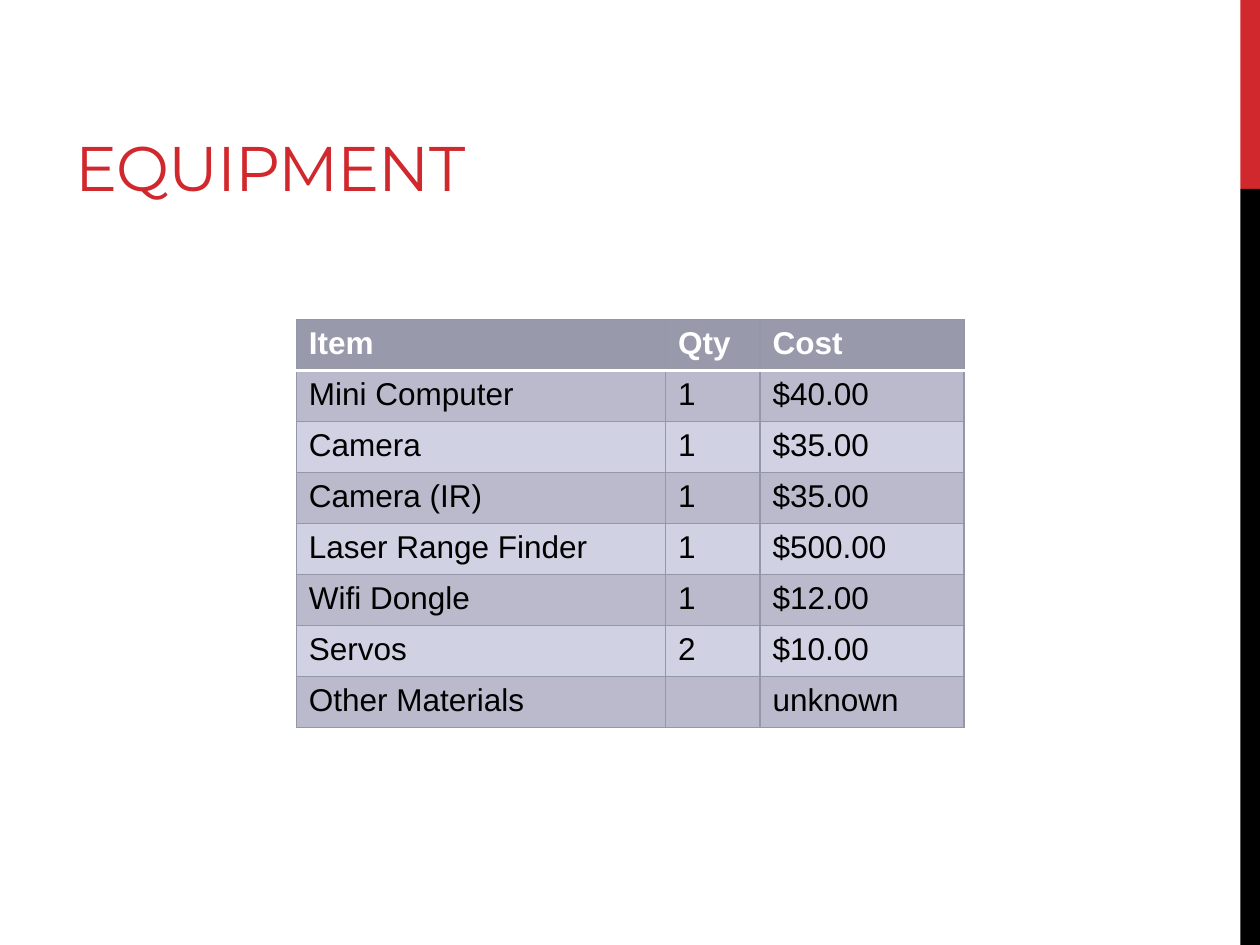
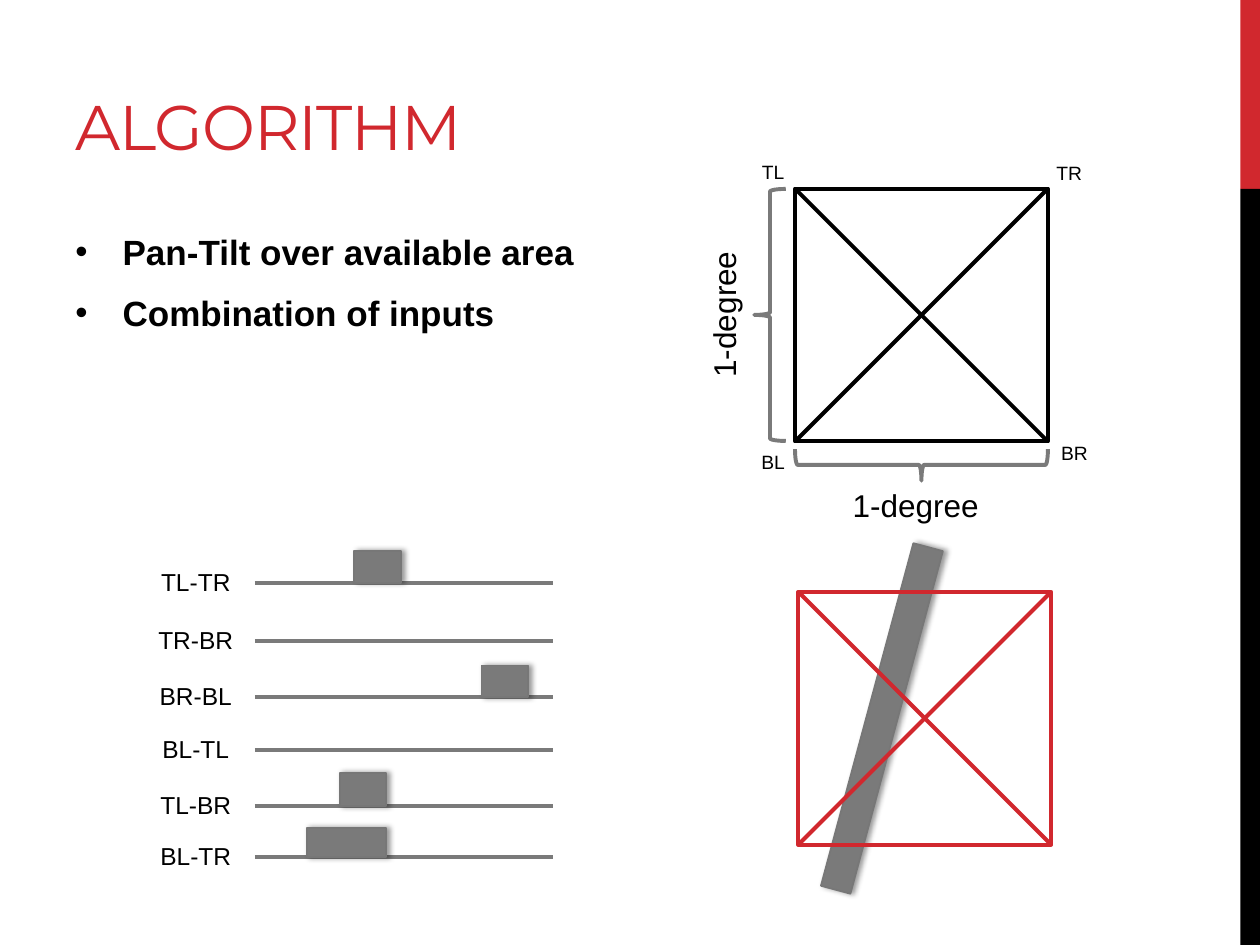
from typing import NamedTuple, Optional

from lxml import etree
from pptx import Presentation
from pptx import util as u
from pptx.dml.color import RGBColor
from pptx.enum import shapes, text
from pptx.oxml import ns

Pt = u.Pt
RED = RGBColor(0xD1, 0x28, 0x2E)
BLACK = RGBColor(0, 0, 0)
WHITE = RGBColor(255, 255, 255)
GREY = RGBColor(0x7A, 0x7A, 0x7A)
EDGE = RGBColor(0x77, 0x77, 0x77)
HEAD = RGBColor(0x98, 0x9A, 0xAC)
DARK = RGBColor(0xBA, 0xBA, 0xCC)
LIGHT = RGBColor(0xD0, 0xD2, 0xE3)
GRID = RGBColor(0x94, 0x96, 0xA9)

RECT = shapes.MSO_SHAPE.RECTANGLE
BRACE = shapes.MSO_SHAPE.LEFT_BRACE
SIDE = 144.5
THICK = 2.25


class Box(NamedTuple):
    left: float
    top: float
    width: float
    height: float

    def lengths(self) -> list:
        return [Pt(v) for v in self]


class Block(NamedTuple):
    left: float
    width: float
    height: float


class Track(NamedTuple):
    name: str
    y: float
    block: Optional[Block] = None


class Label(NamedTuple):
    words: str
    box: Box
    size: float
    turn: float = 0


ITEMS = [
    ("Item", "Qty", "Cost"),
    ("Mini Computer", "1", "$40.00"),
    ("Camera", "1", "$35.00"),
    ("Camera (IR)", "1", "$35.00"),
    ("Laser Range Finder", "1", "$500.00"),
    ("Wifi Dongle", "1", "$12.00"),
    ("Servos", "2", "$10.00"),
    ("Other Materials", "", "unknown"),
]
WIDTHS = [211, 54, 116.6]
ROW = 29.15

TRACKS = [
    Track("TL-TR", 333, Block(202.5, 26.6, 18)),
    Track("TR-BR", 366.3),
    Track("BR-BL", 398.3, Block(275.2, 26.6, 18)),
    Track("BL-TL", 428.6),
    Track("TL-BR", 460.6, Block(194.2, 26.6, 19)),
    Track("BL-TR", 489.8, Block(175.4, 45.4, 16.8)),
]

LABELS = [
    Label("1-degree", Box(366, 165.3, 95, 28.8), 18, 270),
    Label("1-degree", Box(475.8, 274.3, 95, 28.8), 18),
    Label("TL", Box(423.8, 87.8, 36, 20.9), 11),
    Label("TR", Box(593, 88.4, 36, 20.9), 11),
    Label("BR", Box(596, 248.4, 36, 20.9), 11),
    Label("BL", Box(423.8, 254, 36, 20.9), 11),
]


def add_run(para, words: str, size: float, ink=BLACK, font="Arial", bold=False):
    run = para.add_run()
    run.text = words
    run.font.name = font
    run.font.size = Pt(size)
    run.font.bold = bold
    run.font.color.rgb = ink
    return run


def add_form(slide, kind, box: Box, fill=None, line=None, weight=THICK, turn=0.0):
    form = slide.shapes.add_shape(kind, *box.lengths())
    form.shadow.inherit = False
    form.rotation = turn
    if fill is None:
        form.fill.background()
    else:
        form.fill.solid()
        form.fill.fore_color.rgb = fill
    if line is None:
        form.line.fill.background()
    else:
        form.line.color.rgb = line
        form.line.width = Pt(weight)
    return form


def add_line(slide, x1: float, y1: float, x2: float, y2: float, ink) -> None:
    line = slide.shapes.add_connector(
        shapes.MSO_CONNECTOR.STRAIGHT, Pt(x1), Pt(y1), Pt(x2), Pt(y2))
    line.line.color.rgb = ink
    line.line.width = Pt(THICK)
    etree.SubElement(line._element.spPr, ns.qn("a:effectLst"))


def add_bar(slide, box: Box, turn=0.0) -> None:
    """Grey block with a soft shadow to its right."""
    bar = add_form(slide, RECT, box, GREY, EDGE, 1, turn)
    cast = etree.SubElement(
        bar._element.spPr.find(ns.qn("a:effectLst")), ns.qn("a:outerShdw"),
        blurRad=str(Pt(3.1)), dist=str(Pt(1.8)), dir="0", rotWithShape="0")
    ink = etree.SubElement(cast, ns.qn("a:srgbClr"), val=str(BLACK))
    etree.SubElement(ink, ns.qn("a:alpha"), val="40000")


def add_label(slide, label: Label) -> None:
    form = slide.shapes.add_textbox(*label.box.lengths())
    form.rotation = label.turn
    form.text_frame.word_wrap = False
    para = form.text_frame.paragraphs[0]
    para.alignment = text.PP_ALIGN.CENTER
    add_run(para, label.words, label.size)


def add_square(slide, left: float, top: float, ink, fill=None) -> None:
    """Square with both of its diagonals."""
    add_form(slide, RECT, Box(left, top, SIDE, SIDE), fill, ink)
    right, base = left + SIDE, top + SIDE
    add_line(slide, right, top, left, base, ink)
    add_line(slide, right, base, left, top, ink)


def add_page(deck, title: str, top: float):
    """Blank slide with the side band and a title."""
    slide = deck.slides.add_slide(deck.slide_layouts[6])
    add_form(slide, RECT, Box(708.75, 0, 11.25, 108), RED)
    add_form(slide, RECT, Box(708.75, 108, 11.25, 432), BLACK)
    frame = slide.shapes.add_textbox(*Box(36, top, 456, 108).lengths()).text_frame
    frame.word_wrap = True
    frame.vertical_anchor = text.MSO_ANCHOR.BOTTOM
    run = add_run(frame.paragraphs[0], title, 36, RED, "Montserrat")
    run._r.get_or_add_rPr().set("spc", "-60")
    return slide


def set_edge(cell, side: str, ink, weight: float) -> None:
    edge = etree.Element(ns.qn(f"a:{side}"), w=str(Pt(weight)))
    fill = etree.SubElement(edge, ns.qn("a:solidFill"))
    etree.SubElement(fill, ns.qn("a:srgbClr"), val=str(ink))
    cell._tc.get_or_add_tcPr().append(edge)


def fill_cell(cell, words: str, row: int) -> None:
    first = row == 0
    for side in ("lnL", "lnR", "lnT", "lnB"):
        rule = (first and side == "lnB") or (row == 1 and side == "lnT")
        set_edge(cell, side, WHITE if rule else GRID, THICK if rule else 1)
    cell.fill.solid()
    cell.fill.fore_color.rgb = HEAD if first else DARK if row % 2 else LIGHT
    para = cell.text_frame.paragraphs[0]
    para.font.size = Pt(18)
    if words:
        add_run(para, words, 18, WHITE if first else BLACK, bold=first)


def add_costs(slide) -> None:
    box = Box(169.3, 182.6, sum(WIDTHS), ROW * len(ITEMS))
    table = slide.shapes.add_table(len(ITEMS), len(WIDTHS), *box.lengths()).table
    table.first_row = table.horz_banding = False
    for col, width in zip(table.columns, WIDTHS):
        col.width = Pt(width)
    for r, item in enumerate(ITEMS):
        table.rows[r].height = Pt(ROW)
        for c, words in enumerate(item):
            fill_cell(table.cell(r, c), words, r)


def add_points(slide, points: list[str]) -> None:
    frame = slide.shapes.add_textbox(*Box(36, 128.2, 338.4, 344.2).lengths()).text_frame
    frame.word_wrap = True
    for i, point in enumerate(points):
        para = frame.paragraphs[0] if i == 0 else frame.add_paragraph()
        para.space_before = Pt(4.6 if i else 0)
        para.space_after = Pt(6)
        props = para._p.get_or_add_pPr()
        props.set("marL", str(Pt(27)))
        props.set("indent", str(-Pt(27)))
        etree.SubElement(props, ns.qn("a:buFont"), typeface="Arial")
        etree.SubElement(props, ns.qn("a:buChar"), char="•")
        add_run(para, point, 20, bold=True)


def add_track(slide, track: Track) -> None:
    add_line(slide, 145.6, track.y, 316, track.y, GREY)
    if track.block:
        left, width, height = track.block
        add_bar(slide, Box(left, track.y - height, width, height))
    add_label(slide, Label(track.name, Box(79.4, track.y - 12.8, 65, 24.5), 14))


def main() -> None:
    deck = Presentation()
    deck.slide_width, deck.slide_height = Pt(720), Pt(540)

    # Equipment
    add_costs(add_page(deck, "EQUIPMENT", 12.2))

    # Algorithm: bar seen by the scan
    slide = add_page(deck, "ALGORITHM", -11.5)
    add_bar(slide, Box(495.2, 309.2, 17.5, 202.8), 15.1)
    add_square(slide, 456.2, 338.2, RED)

    # Signal along each edge and diagonal
    for track in TRACKS:
        add_track(slide, track)

    # Scan pattern with its measures
    add_square(slide, 454.3, 107.8, BLACK, WHITE)
    add_form(slide, BRACE, Box(431, 108, 18, 144), line=GREY)
    add_form(slide, BRACE, Box(517.6, 193.4, 18, SIDE), line=GREY, turn=270)
    for label in LABELS:
        add_label(slide, label)

    add_points(slide, ["Pan-Tilt over available area", "Combination of inputs"])
    deck.save("out.pptx")


if __name__ == "__main__":
    main()
